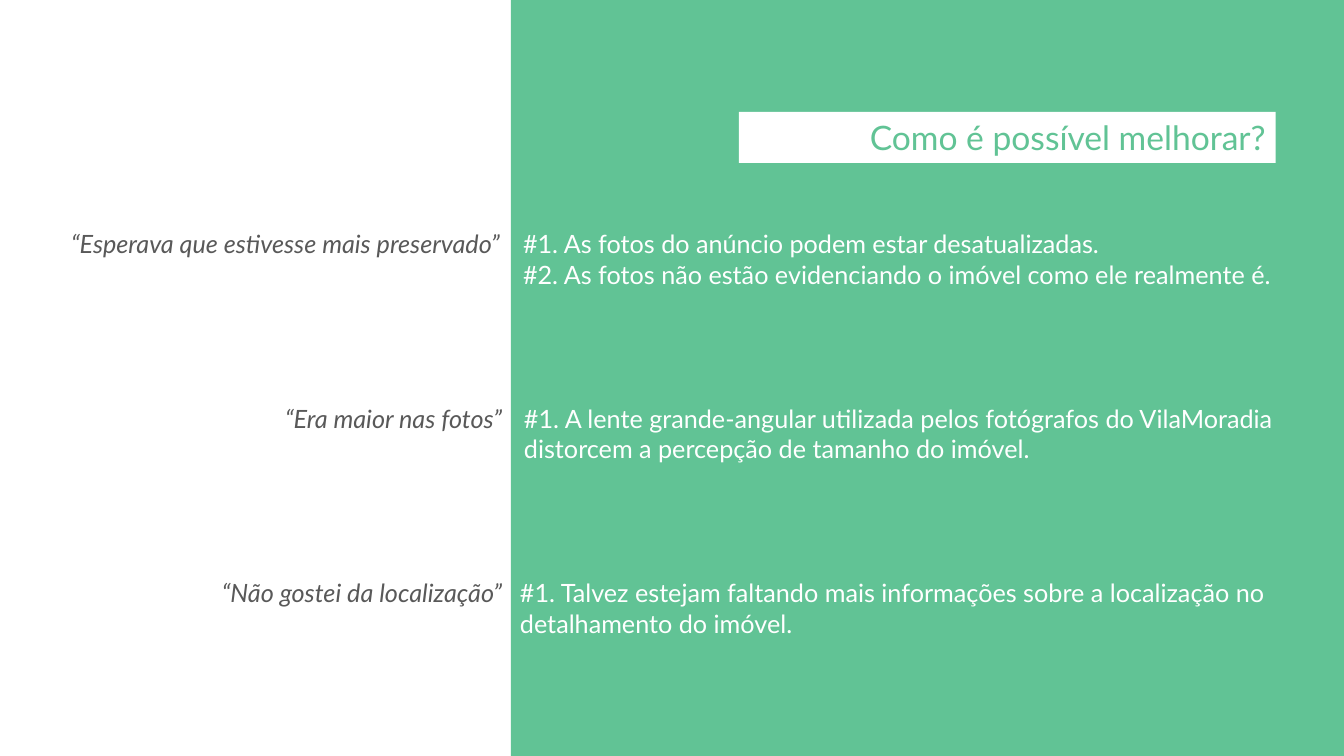
from dataclasses import dataclass

from pptx import Presentation
from pptx.dml.color import RGBColor
from pptx.enum.shapes import MSO_SHAPE
from pptx.enum.text import MSO_ANCHOR, MSO_AUTO_SIZE, PP_ALIGN
from pptx.util import Pt


@dataclass(frozen=True)
class Theme:
    font: str = "Lato"
    green: RGBColor = RGBColor(0x61, 0xC3, 0x95)
    white: RGBColor = RGBColor(0xFF, 0xFF, 0xFF)
    grey: RGBColor = RGBColor(0x59, 0x59, 0x59)
    title_size: int = 24
    body_size: int = 18


THEME = Theme()
SLIDE_WIDTH, SLIDE_HEIGHT = 960, 540
PANEL_LEFT = 365
FIRST_ROW_TOP, ROW_STEP = 159.8, 124.6

# Quote, right edge of the quote, answers, left edge of the answers
ROWS = [
    ("“Esperava que estivesse mais preservado”", 364.3,
     ["#1. As fotos do anúncio podem estar desatualizadas.",
      "#2. As fotos não estão evidenciando o imóvel como ele realmente é."], 366.5),
    ("“Era maior nas fotos”", 365.8,
     ["#1. A lente grande-angular utilizada pelos fotógrafos do VilaMoradia "
      "distorcem a percepção de tamanho do imóvel."], 367.2),
    ("“Não gostei da localização”", 365.8,
     ["#1. Talvez estejam faltando mais informações sobre a localização no "
      "detalhamento do imóvel."], 364.3),
]


def add_rectangle(slide, left, top, width, height, color):
    shape = slide.shapes.add_shape(
        MSO_SHAPE.RECTANGLE, Pt(left), Pt(top), Pt(width), Pt(height))
    shape.shadow.inherit = False
    shape.fill.solid()
    shape.fill.fore_color.rgb = color
    shape.line.fill.background()
    return shape


def write_paragraphs(shape, lines, size, color, align=PP_ALIGN.LEFT, italic=False):
    frame = shape.text_frame
    frame.word_wrap = True
    frame.auto_size = MSO_AUTO_SIZE.SHAPE_TO_FIT_TEXT
    frame.vertical_anchor = MSO_ANCHOR.TOP
    for index, line in enumerate(lines):
        paragraph = frame.add_paragraph() if index else frame.paragraphs[0]
        paragraph.alignment = align
        run = paragraph.add_run()
        run.text = line
        run.font.name = THEME.font
        run.font.size = Pt(size)
        run.font.italic = italic
        run.font.color.rgb = color


def add_text_box(slide, left, top, width, height, lines, color, **style):
    box = slide.shapes.add_textbox(Pt(left), Pt(top), Pt(width), Pt(height))
    write_paragraphs(box, lines, THEME.body_size, color, **style)


def add_row(slide, top, quote, quote_right, answers, answers_left):
    """Add a quote, right-aligned to the panel's edge, and its answers on the panel."""
    add_text_box(slide, 0, top, quote_right, 29, [quote], THEME.grey,
                 align=PP_ALIGN.RIGHT, italic=True)
    add_text_box(slide, answers_left, top, SLIDE_WIDTH - answers_left, 51,
                 answers, THEME.white)


def main():
    presentation = Presentation()
    presentation.slide_width = Pt(SLIDE_WIDTH)
    presentation.slide_height = Pt(SLIDE_HEIGHT)
    slide = presentation.slides.add_slide(presentation.slide_layouts[6])

    add_rectangle(slide, PANEL_LEFT, 0, SLIDE_WIDTH - PANEL_LEFT, SLIDE_HEIGHT,
                  THEME.green)
    for index, row in enumerate(ROWS):
        add_row(slide, FIRST_ROW_TOP + index * ROW_STEP, *row)
    title = add_rectangle(slide, 527.7, 80, 383.5, 36.3, THEME.white)
    write_paragraphs(title, ["Como é possível melhorar?"], THEME.title_size,
                     THEME.green, align=PP_ALIGN.RIGHT)

    presentation.save("out.pptx")


if __name__ == "__main__":
    main()
